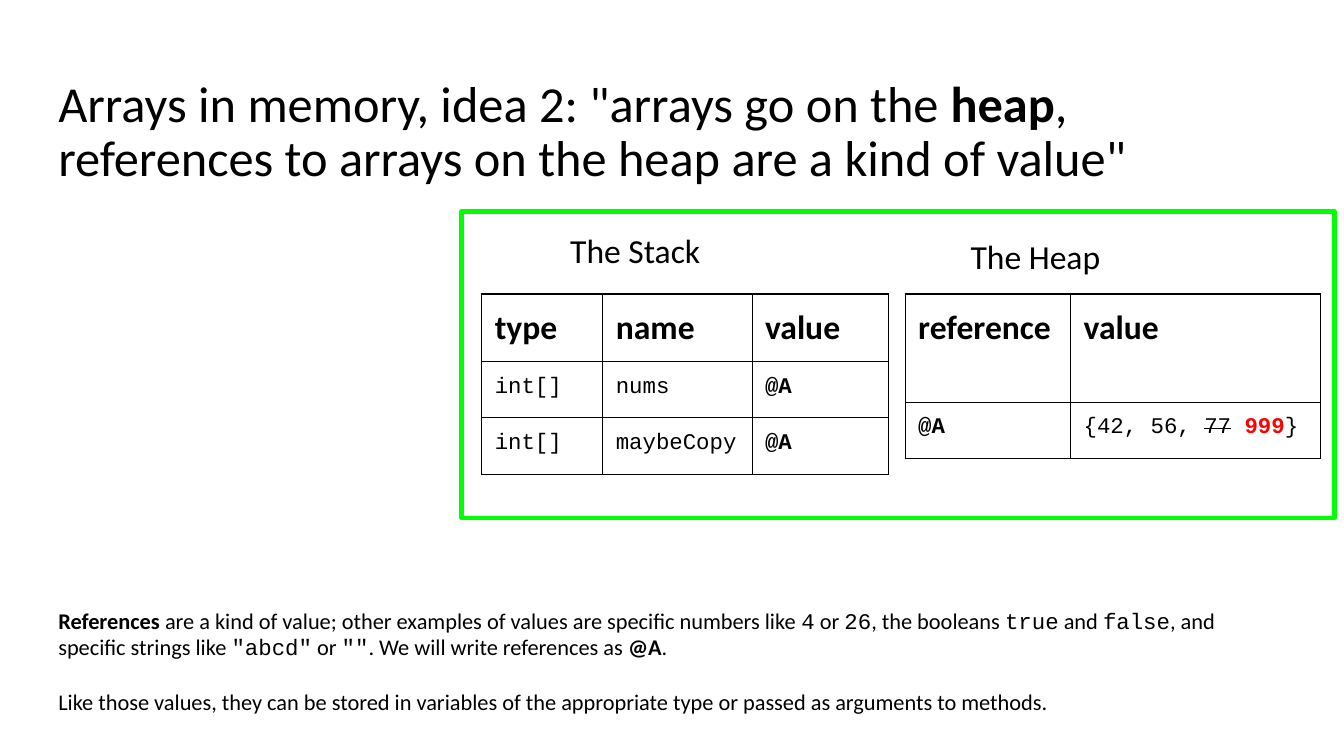
from lxml.etree import SubElement
from pptx import Presentation
from pptx.dml.color import RGBColor
from pptx.enum.shapes import MSO_SHAPE
from pptx.oxml.ns import qn
from pptx.util import Cm, Pt

COLORS = {"ink": "000000", "frame": "00FF00", "update": "FF0000"}
INSET = Cm(0.33)
FRAME_INSETS = {f"margin_{side}": INSET for side in ("left", "top", "right", "bottom")}
PLAIN = {"name": "Calibri", "bold": False}
STRONG = {"name": "Calibri", "bold": True}
CODE = {"name": "Courier New", "bold": False}
CODE_STRONG = {"name": "Courier New", "bold": True}


def apply(target, values):
    """Set every attribute in a dict of format values."""
    for attribute, value in values.items():
        setattr(target, attribute, value)


def write(paragraph, runs, size):
    """Write (text, font values, optional colour, optional strike) runs."""
    for text, font_values, *extras in runs:
        run = paragraph.add_run()
        run.text = text
        apply(run.font, {**font_values, "size": Pt(size)})
        color = extras[0] if extras else "ink"
        run.font.color.rgb = RGBColor.from_string(COLORS[color])
        if len(extras) > 1:
            run._r.get_or_add_rPr().set("strike", extras[1])


def add_text(slide, box, paragraphs, size, **paragraph_values):
    """Place a wrapping text box holding paragraphs of runs."""
    frame = slide.shapes.add_textbox(*map(Cm, box)).text_frame
    apply(frame, {**FRAME_INSETS, "word_wrap": True})
    for index, runs in enumerate(paragraphs):
        paragraph = frame.add_paragraph() if index else frame.paragraphs[0]
        apply(paragraph, paragraph_values)
        write(paragraph, runs, size)
    return frame


def outline_cell(cell, top_width):
    """Draw black borders on the four sides of a cell."""
    properties = cell._tc.get_or_add_tcPr()
    widths = {"lnL": 0.75, "lnR": 0.75, "lnT": top_width, "lnB": 0.75}
    for position, (side, width) in enumerate(widths.items()):
        border = SubElement(properties, qn(f"a:{side}"), w=str(Pt(width)))
        properties.insert(position, border)
        fill = SubElement(border, qn("a:solidFill"))
        SubElement(fill, qn("a:srgbClr"), val=COLORS["ink"])


def add_memory_table(slide, left, top, widths, heights, rows):
    """Place a bordered table with a large header row and code rows."""
    table = slide.shapes.add_table(
        len(rows), len(widths), Cm(left), Cm(top), Cm(sum(widths)), Cm(sum(heights))
    ).table
    apply(table, {"first_row": False, "horz_banding": False})
    for column, width in zip(table.columns, widths):
        column.width = Cm(width)
    for index, (row, height, contents) in enumerate(zip(table.rows, heights, rows)):
        row.height = Cm(height)
        for cell, runs in zip(row.cells, contents):
            apply(cell, FRAME_INSETS)
            cell.fill.background()
            outline_cell(cell, 0.75 if index else 1.5)
            write(cell.text_frame.paragraphs[0], runs, 16 if index else 24)


def add_title(slide, box):
    """Place the two-line statement of the idea."""
    statement = [
        ('Arrays in memory, idea 2: "arrays go on the ', PLAIN),
        ("heap", STRONG),
        (', references to arrays on the heap are a kind of value"', PLAIN),
    ]
    add_text(slide, box, [statement], 36, line_spacing=0.9)


def add_memory(slide, box):
    """Place the framed stack and heap tables with their labels."""
    left, top, _, _ = box
    border = slide.shapes.add_shape(MSO_SHAPE.RECTANGLE, *map(Cm, box))
    border.shadow.inherit = False
    border.fill.background()
    border.line.color.rgb = RGBColor.from_string(COLORS["frame"])
    border.line.width = Pt(3)

    reference = [("@A", CODE_STRONG)]
    stack = [[[(heading, STRONG)] for heading in ("type", "name", "value")]]
    stack += [
        [[("int[]", CODE)], [(variable, CODE)], reference]
        for variable in ("nums", "maybeCopy")
    ]
    contents = [
        ("{42, 56, ", CODE),
        ("77", CODE, "ink", "sngStrike"),
        (" ", CODE),
        ("999", CODE_STRONG, "update"),
        ("}", CODE),
    ]
    heap = [
        [[(heading, STRONG)] for heading in ("reference", "value")],
        [reference, contents],
    ]
    tables_top = top + 2.08
    add_memory_table(
        slide, left + 0.51, tables_top, (3.05, 3.76, 3.45), (1.7, 1.42, 1.42), stack
    )
    add_memory_table(slide, left + 11.18, tables_top, (4.17, 6.3), (2.72, 1.42), heap)
    for label, across, down in (("The Heap", 12.5, 0.28), ("The Stack", 2.41, 0.13)):
        add_text(slide, (left + across, top + down, 6.45, 1.7), [[(label, PLAIN)]], 24)


def add_explanation(slide, box):
    """Place the two paragraphs explaining references."""
    definition = [
        ("References ", STRONG),
        ("are a kind of value; other examples of values are specific numbers like ", PLAIN),
        ("4", CODE),
        (" or ", PLAIN),
        ("26", CODE),
        (", the booleans ", PLAIN),
        ("true", CODE),
        (" and ", PLAIN),
        ("false", CODE),
        (", and specific strings like ", PLAIN),
        ('"abcd"', CODE),
        (" or ", PLAIN),
        ('""', CODE),
        (". We will write references as ", PLAIN),
        ("@A", STRONG),
        (".", PLAIN),
    ]
    usage = [
        (
            "Like those values, they can be stored in variables of the appropriate "
            "type or passed as arguments to methods.",
            PLAIN,
        )
    ]
    frame = add_text(slide, box, [definition, usage], 16)
    frame.paragraphs[1].space_before = Pt(19.5)


def main():
    """Build and save the slide."""
    presentation = Presentation()
    apply(presentation, {"slide_width": Cm(33.87), "slide_height": Cm(19.05)})
    slide = presentation.slides.add_slide(presentation.slide_layouts[6])
    add_memory(slide, (11.63, 5.33, 22, 7.72))
    add_explanation(slide, (1.14, 14.96, 31.55, 3.48))
    add_title(slide, (1.14, 1.65, 31.55, 3.63))
    presentation.save("out.pptx")


main()
